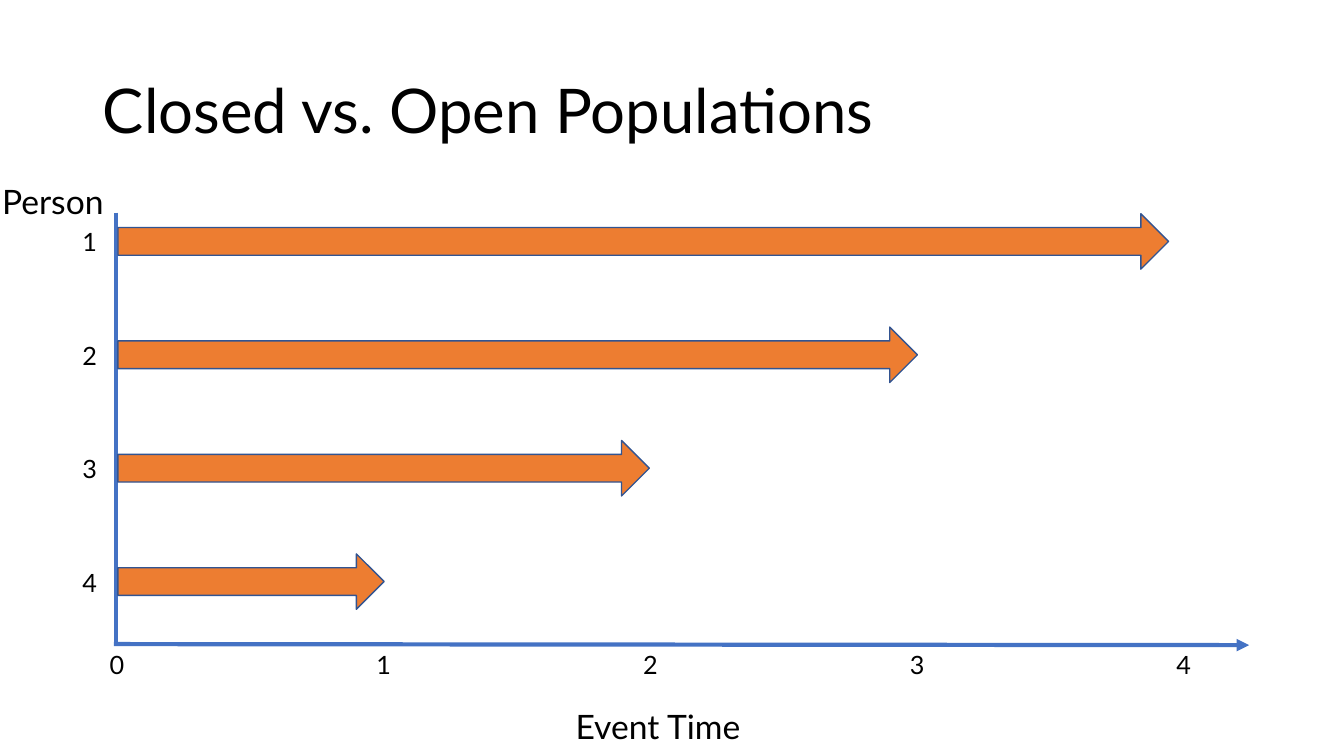
from dataclasses import dataclass

from lxml.etree import SubElement
from pptx import Presentation
from pptx.dml.color import RGBColor
from pptx.enum.shapes import MSO_CONNECTOR, MSO_SHAPE
from pptx.enum.text import MSO_ANCHOR, MSO_AUTO_SIZE, PP_ALIGN
from pptx.oxml.ns import qn
from pptx.slide import Slide
from pptx.text.text import _Paragraph
from pptx.util import Inches, Pt


@dataclass(frozen=True)
class Theme:
    font: str = "Lato"
    text: RGBColor = RGBColor(0x00, 0x00, 0x00)
    axis: RGBColor = RGBColor(0x44, 0x72, 0xC4)
    bar: RGBColor = RGBColor(0xED, 0x7D, 0x31)
    bar_edge: RGBColor = RGBColor(0x32, 0x54, 0x91)
    title_size: int = 44
    axis_title_size: int = 24
    tick_size: int = 18
    axis_width: float = 3
    edge_width: float = 1


@dataclass(frozen=True)
class Label:
    text: str
    left: float
    top: float
    width: float
    height: float
    size: int


@dataclass(frozen=True)
class Axis:
    start: tuple[float, float]
    end: tuple[float, float]
    arrowhead: bool = False


@dataclass(frozen=True)
class Person:
    number: int
    follow_up: float  # arrow length in inches


THEME = Theme()
TICK_WIDTH, TICK_HEIGHT = 0.34, 0.4
TIME_LEFT, TIME_TOP, TIME_STEP = 0.99, 6.39, 2.645
PERSON_LEFT, PERSON_TOP, PERSON_STEP = 0.72, 2.2, 1.125
BAR_LEFT, BAR_TOP, BAR_HEIGHT = 1.17, 2.12, 0.55

AXES = [
    Axis((1.15, 2.11), (1.15, 6.4)),
    Axis((1.13, 6.39), (12.39, 6.4), arrowhead=True),
]
AXIS_TITLES = [
    Label("Event Time", 5.58, 6.95, 1.89, 0.5, THEME.axis_title_size),
    Label("Person", -0.09, 1.75, 1.23, 0.5, THEME.axis_title_size),
]
PERSONS = [Person(1, 10.42), Person(2, 7.93), Person(3, 5.27), Person(4, 2.64)]


def set_font(paragraph: _Paragraph, size: int) -> None:
    paragraph.font.name = THEME.font
    paragraph.font.size = Pt(size)
    paragraph.font.color.rgb = THEME.text


def tick(number: int, left: float, top: float) -> Label:
    return Label(str(number), left, top, TICK_WIDTH, TICK_HEIGHT, THEME.tick_size)


def add_title(slide: Slide, text: str) -> None:
    title = slide.shapes.title
    title.left, title.top = Inches(0.92), Inches(0.4)
    title.width, title.height = Inches(11.5), Inches(1.45)
    title.text_frame.text = text
    title.text_frame.vertical_anchor = MSO_ANCHOR.MIDDLE
    heading = title.text_frame.paragraphs[0]
    heading.alignment = PP_ALIGN.LEFT
    heading.line_spacing = 0.9
    set_font(heading, THEME.title_size)


def add_axis(slide: Slide, axis: Axis) -> None:
    line = slide.shapes.add_connector(
        MSO_CONNECTOR.STRAIGHT, *map(Inches, axis.start + axis.end)
    )
    line.line.color.rgb = THEME.axis
    line.line.width = Pt(THEME.axis_width)
    if axis.arrowhead:
        SubElement(line.line._get_or_add_ln(), qn("a:tailEnd"), type="triangle")
    SubElement(line._element.spPr, qn("a:effectLst"))


def add_label(slide: Slide, label: Label) -> None:
    box = slide.shapes.add_textbox(
        Inches(label.left), Inches(label.top), Inches(label.width), Inches(label.height)
    )
    frame = box.text_frame
    frame.word_wrap = False
    frame.auto_size = MSO_AUTO_SIZE.SHAPE_TO_FIT_TEXT
    frame.text = label.text
    frame.paragraphs[0].alignment = PP_ALIGN.CENTER
    set_font(frame.paragraphs[0], label.size)


def add_follow_up(slide: Slide, person: Person, top: float) -> None:
    arrow = slide.shapes.add_shape(
        MSO_SHAPE.RIGHT_ARROW,
        Inches(BAR_LEFT), Inches(top), Inches(person.follow_up), Inches(BAR_HEIGHT),
    )
    arrow.shadow.inherit = False
    arrow.fill.solid()
    arrow.fill.fore_color.rgb = THEME.bar
    arrow.line.color.rgb = THEME.bar_edge
    arrow.line.width = Pt(THEME.edge_width)


def main() -> None:
    presentation = Presentation()
    presentation.slide_width = Inches(13.33)
    presentation.slide_height = Inches(7.5)
    slide = presentation.slides.add_slide(presentation.slide_layouts[5])

    add_title(slide, "Closed vs. Open Populations")
    for axis in AXES:
        add_axis(slide, axis)
    for axis_title in AXIS_TITLES:
        add_label(slide, axis_title)
    for time in range(5):
        add_label(slide, tick(time, TIME_LEFT + time * TIME_STEP, TIME_TOP))
    for row, person in enumerate(PERSONS):
        offset = row * PERSON_STEP
        add_label(slide, tick(person.number, PERSON_LEFT, PERSON_TOP + offset))
        add_follow_up(slide, person, BAR_TOP + offset)

    presentation.save("out.pptx")


if __name__ == "__main__":
    main()
